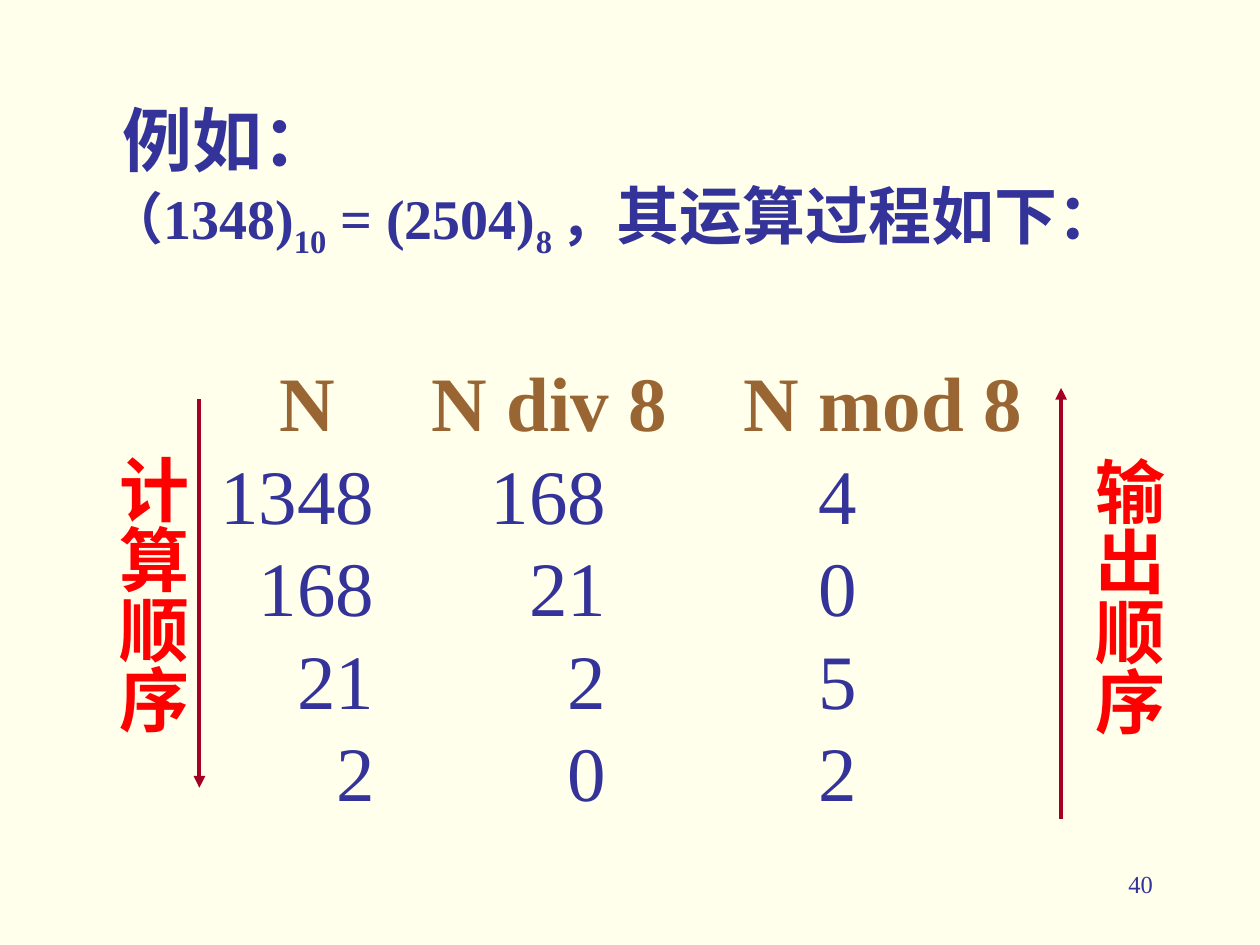
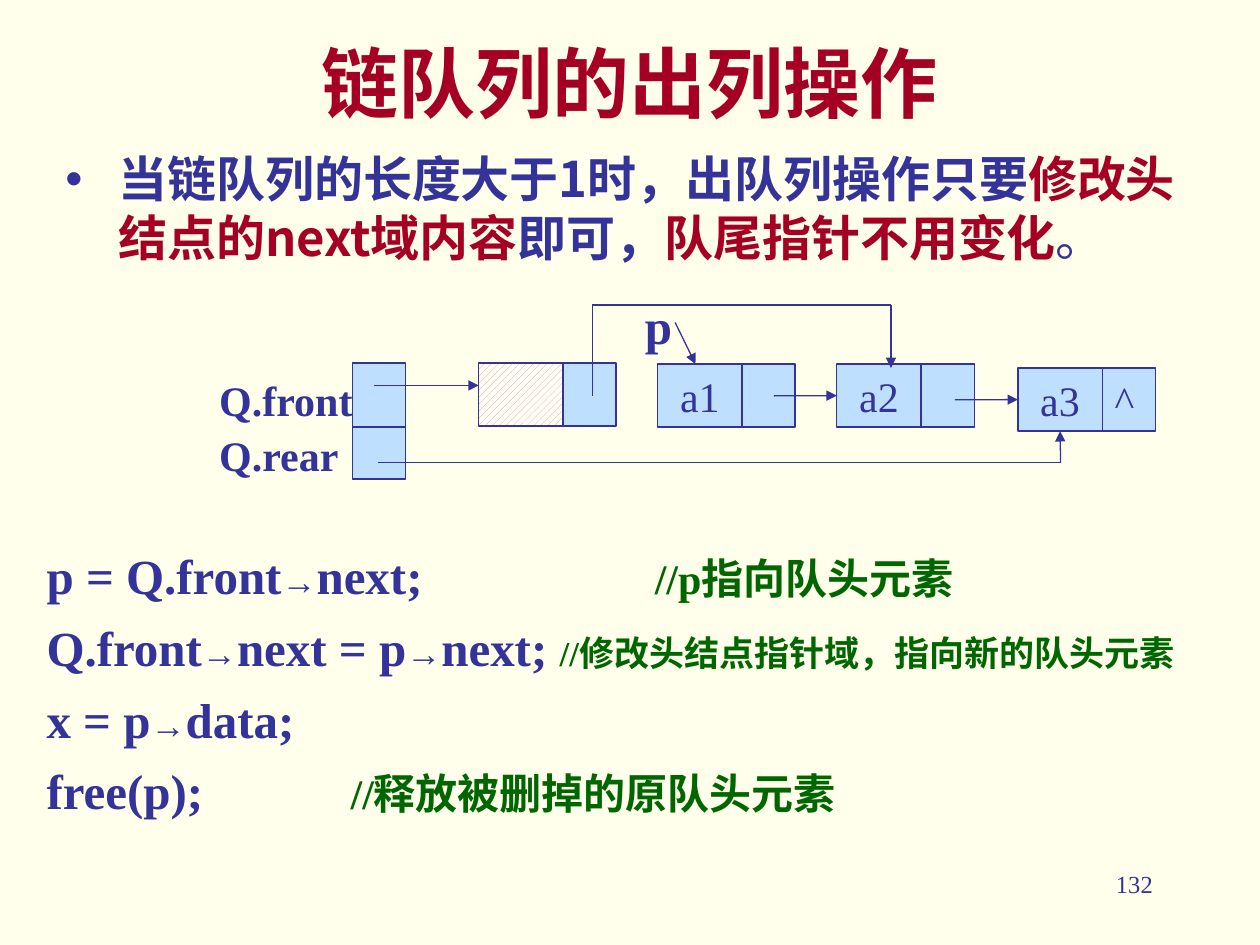
"""Build two lecture slides: an octal conversion and a dequeue on a linked queue."""
from lxml import etree
from pptx import Presentation
from pptx import util as u
from pptx.dml.color import RGBColor
from pptx.enum import dml, shapes, text
from pptx.oxml import ns

COLORS = {"paper": "FFFFEB", "ink": "333399", "accent": "A50021", "header": "996633",
          "order": "FF0000", "comment": "006600", "node": "BEE0FE", "hatch": "FF9933",
          "white": "FFFFFF"}
SERIF, SANS = "Times New Roman", "Noto Sans CJK SC"
NO_GRID = "{2D5ABB26-0587-4C30-8999-92F81FD0307C}"

SUBSCRIPT = {"baseline": -25}
ACCENT = {"color": "accent"}
ARROW = ("→", {"size": 20})

EXAMPLE = ["例如："]
EQUATION = ["（1348)", ("10", SUBSCRIPT), " = (2504)", ("8 ", SUBSCRIPT), "，",
            ("其运算过程如下：", {"size": 36})]
DIVISION = [("N", "N div 8", "N mod 8"),
            (1348, 168, 4), (168, 21, 0), (21, 2, 5), (2, 0, 2)]
DIVISION_COLUMNS = [(3.71, 0.51), (6.03, 1.87), (7.42, 4.23)]
DIVISION_LEFT, DIVISION_TOP, DIVISION_ROW = 4.35, 7.25, 1.86
ORDERS = [("计算顺序", 1.83, 8.92, (4.02, 8.05, 4.02, 15.88)),
          ("输出顺序", 21.51, 8.97, (21.39, 16.51, 21.39, 7.82))]

DEQUEUE_TITLE = "链队列的出列操作"
DEQUEUE_RULE = ["当链队列的长度大于1时，出队列操作只要", ("修改头结点的next域内容", ACCENT),
                "即可，", ("队尾指针不用变化", ACCENT), ("。", {"bold": False})]
CODE = [
    (["p = Q.front", ARROW, "next;\t", ("//p指向队头元素", {"size": 24, "color": "comment"})], 12.26),
    (["Q.front", ARROW, "next = p", ARROW, "next; ",
      ("//修改头结点指针域，指向新的队头元素", {"size": 20, "color": "comment"})], None),
    (["x = p", ARROW, "data;"], None),
    (["free(p);\t", ("//释放被删掉的原队头元素", {"size": 24, "color": "comment"})], 6.13),
]
DATA_WIDTH, LINK_WIDTH, NODE_HEIGHT = 1.7, 1.07, 1.27
NODES = [("head", "", "", 9.65, 7.32), ("a1", "a1", "", 13.26, 7.34),
         ("a2", "a2", "", 16.87, 7.34), ("a3", "a3", "^", 20.52, 7.42)]
QUEUE_BOX = (7.11, 7.32, LINK_WIDTH, 2.34)
PLAIN_LINES = [(7.11, 8.61, 8.18, 8.61), (7.62, 9.32, 21.38, 9.32),
               (11.94, 7.98, 11.94, 6.15), (11.94, 6.15, 17.96, 6.15)]
ARROWS = [((7.54, 7.77, 9.65, 7.77), None), ((13.61, 6.5, 14.02, 7.34), None),
          ((17.96, 6.15, 17.96, 7.42), None), ((15.6, 7.98, 16.87, 7.98), ("a2", 1)),
          ((19.25, 8.06, 20.52, 8.06), ("a3", 1)), ((21.38, 9.32, 21.38, 8.69), ("a3", 2))]


def rgb(name):
    return RGBColor.from_string(COLORS[name])


def cm(values):
    return [u.Cm(value) for value in values]


def child(parent, tag, **attributes):
    return etree.SubElement(parent, ns.qn(tag), attributes)


def style_font(font, size=None, color=None, bold=None, name=None):
    if size:
        font.size = u.Pt(size)
    if color:
        font.color.rgb = rgb(color)
    if bold is not None:
        font.bold = bold
    if name:
        font.name = name


def fill_paragraph(paragraph, runs, size, color="ink", bold=False, name=SERIF,
                   align=None, line=None, before=None, indent=None, bullet=None, tab=None):
    properties = paragraph._p.get_or_add_pPr()
    if align is not None:
        paragraph.alignment = align
    if line:
        paragraph.line_spacing = u.Pt(line)
    if before:
        paragraph.space_before = u.Pt(before)
    if indent:
        properties.set("marL", str(u.Cm(indent)))
    if bullet:
        properties.set("indent", str(-u.Cm(indent)))
        child(properties, "a:buFont", typeface="Arial")
        child(properties, "a:buChar", char=bullet)
    if tab:
        child(child(properties, "a:tabLst"), "a:tab", pos=str(u.Cm(tab)), algn="l")
    style_font(paragraph.font, size, color, bold, name)
    child(properties.find(ns.qn("a:defRPr")), "a:ea", typeface=SANS)
    for part in runs:
        words, changes = part if isinstance(part, tuple) else (part, {})
        run = paragraph.add_run()
        run.text = words
        changes = dict(changes)
        baseline = changes.pop("baseline", None)
        if changes:
            style_font(run.font, **changes)
        if baseline:
            run._r.get_or_add_rPr().set("baseline", str(baseline * 1000))


def add_text(slide, box, paragraphs, anchor=text.MSO_ANCHOR.TOP, wrap=True, **style):
    shape = slide.shapes.add_textbox(*cm(box))
    frame = shape.text_frame
    frame.word_wrap = wrap
    frame.vertical_anchor = anchor
    for index, (runs, changes) in enumerate(paragraphs):
        paragraph = frame.add_paragraph() if index else frame.paragraphs[0]
        fill_paragraph(paragraph, runs, **{**style, **changes})
    return shape


def add_cell(slide, box, label="", align=text.PP_ALIGN.CENTER, hatched=False):
    shape = slide.shapes.add_shape(shapes.MSO_SHAPE.RECTANGLE, *cm(box))
    shape.shadow.inherit = False
    if hatched:
        shape.fill.patterned()
        shape.fill.pattern = dml.MSO_PATTERN.WIDE_UPWARD_DIAGONAL
        shape.fill.fore_color.rgb = rgb("hatch")
        shape.fill.back_color.rgb = rgb("white")
    else:
        shape.fill.solid()
        shape.fill.fore_color.rgb = rgb("node")
    shape.line.color.rgb = rgb("ink")
    shape.line.width = u.Pt(0.75)
    if label:
        shape.text_frame.word_wrap = False
        fill_paragraph(shape.text_frame.paragraphs[0], [label], 24, align=align)
    return shape


def add_line(slide, points, color="ink", width=0.75, arrow=False, target=None, site=0):
    connector = slide.shapes.add_connector(shapes.MSO_CONNECTOR.STRAIGHT, *cm(points))
    if target is not None:
        connector.end_connect(target, site)
    connector.line.color.rgb = rgb(color)
    connector.line.width = u.Pt(width)
    if arrow:
        child(connector.line._get_or_add_ln(), "a:tailEnd", type="triangle")
    child(connector._element.spPr, "a:effectLst")


def new_slide(presentation, number):
    slide = presentation.slides.add_slide(presentation.slide_layouts[6])
    slide.background.fill.solid()
    slide.background.fill.fore_color.rgb = rgb("paper")
    add_text(slide, (18.21, 17.4, 5.28, 1.2), [([str(number)], {})], size=14,
             align=text.PP_ALIGN.RIGHT)
    return slide


def add_division_table(slide):
    widths = [width for width, _ in DIVISION_COLUMNS]
    box = (DIVISION_LEFT, DIVISION_TOP, sum(widths), DIVISION_ROW * len(DIVISION))
    table = slide.shapes.add_table(len(DIVISION), len(widths), *cm(box)).table
    table.first_row = table.horz_banding = False
    table._tbl.tblPr.find(ns.qn("a:tableStyleId")).text = NO_GRID
    for column, width in zip(table.columns, widths):
        column.width = u.Cm(width)
    for row_index, row in enumerate(DIVISION):
        table.rows[row_index].height = u.Cm(DIVISION_ROW)
        is_header = row_index == 0
        for column_index, value in enumerate(row):
            cell = table.cell(row_index, column_index)
            cell.fill.background()
            cell.vertical_anchor = text.MSO_ANCHOR.MIDDLE
            cell.margin_left = cell.margin_top = cell.margin_bottom = 0
            cell.margin_right = 0 if is_header else u.Cm(DIVISION_COLUMNS[column_index][1])
            fill_paragraph(cell.text_frame.paragraphs[0], [str(value)], 44,
                           color="header" if is_header else "ink", bold=is_header,
                           align=text.PP_ALIGN.CENTER if is_header else text.PP_ALIGN.RIGHT)


def build_conversion(presentation):
    slide = new_slide(presentation, 40)
    add_text(slide, (1.91, 1.83, 22.66, 3.6),
             [(EXAMPLE, {"size": 40, "line": 48, "indent": 0.32}),
              (EQUATION, {"size": 32, "line": 45})], bold=True)
    add_division_table(slide)
    for label, left, top, arrow in ORDERS:
        add_line(slide, arrow, "accent", 2.25, arrow=True)
        shape = add_text(slide, (left, top, 2.21, 5.94), [([label], {})], wrap=False,
                         size=40, color="order", bold=True, line=48)
        shape.text_frame._txBody.bodyPr.set("vert", "eaVert")


def build_dequeue(presentation):
    slide = new_slide(presentation, 132)
    add_text(slide, (1.91, 0.25, 21.59, 2.8), [([DEQUEUE_TITLE], {})],
             anchor=text.MSO_ANCHOR.MIDDLE, size=44, color="accent", bold=True,
             name=SANS, align=text.PP_ALIGN.CENTER)
    add_text(slide, (1.07, 2.88, 23.5, 2.62), [(DEQUEUE_RULE, {})], size=28, bold=True,
             name=SANS, line=33.6, indent=1.07, bullet="•")
    add_cell(slide, QUEUE_BOX)
    data_cells = {}
    for name, label, link, left, top in NODES:
        data_cells[name] = add_cell(slide, (left, top, DATA_WIDTH, NODE_HEIGHT), label,
                                    hatched=name == "head")
        add_cell(slide, (left + DATA_WIDTH, top, LINK_WIDTH, NODE_HEIGHT), link,
                 text.PP_ALIGN.LEFT)
    for points in PLAIN_LINES:
        add_line(slide, points)
    for points, joint in ARROWS:
        name, site = joint or (None, 0)
        add_line(slide, points, arrow=True, target=data_cells.get(name), site=site)
    add_text(slide, (4.17, 7.42, 3.61, 2.39),
             [(["Q.front"], {}), (["Q.rear"], {"before": 3})], size=24, bold=True)
    add_text(slide, (12.75, 5.84, 1.07, 1.45), [(["p"], {})], wrap=False, size=28, bold=True)
    add_text(slide, (0.69, 10.93, 23.93, 5.84),
             [(runs, {"tab": tab, "before": 9 if index else None})
              for index, (runs, tab) in enumerate(CODE)], size=28, bold=True, line=32)


def main():
    presentation = Presentation()
    presentation.slide_width, presentation.slide_height = u.Cm(25.4), u.Cm(19.05)
    build_conversion(presentation)
    build_dequeue(presentation)
    presentation.save("out.pptx")


if __name__ == "__main__":
    main()
